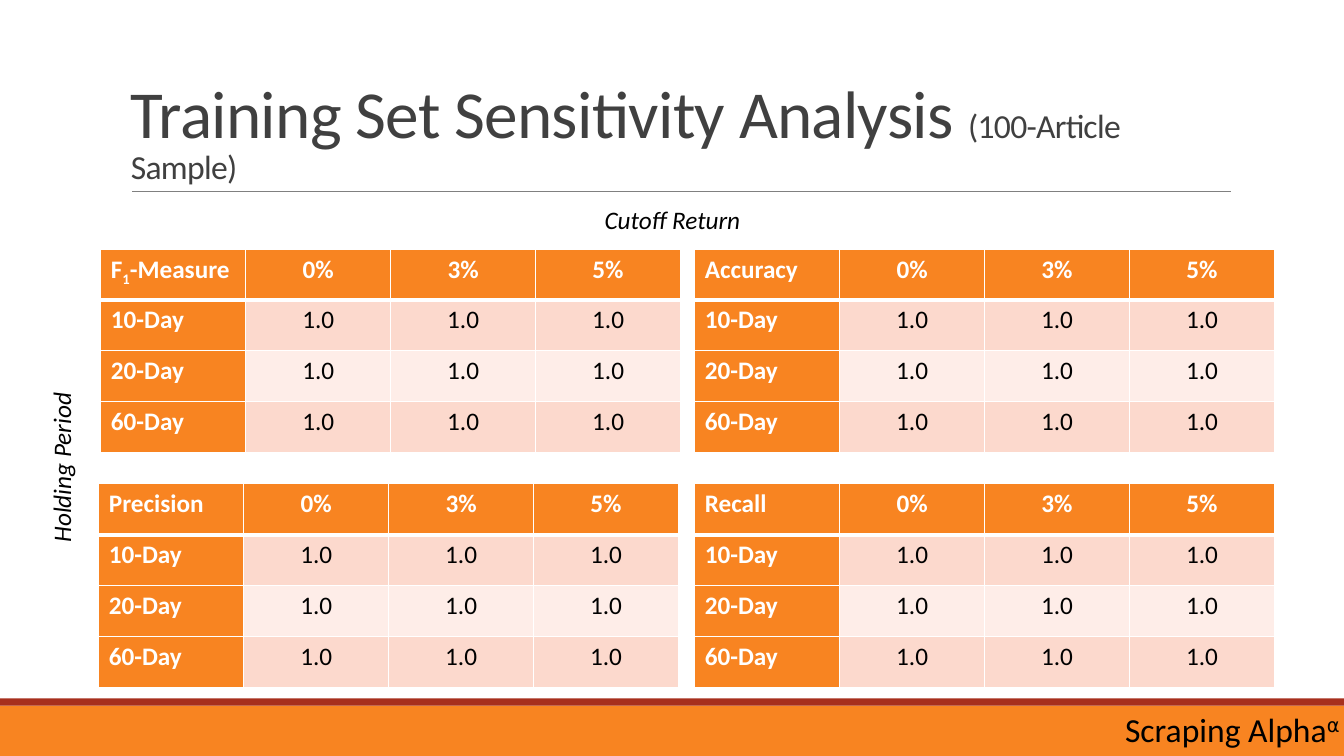
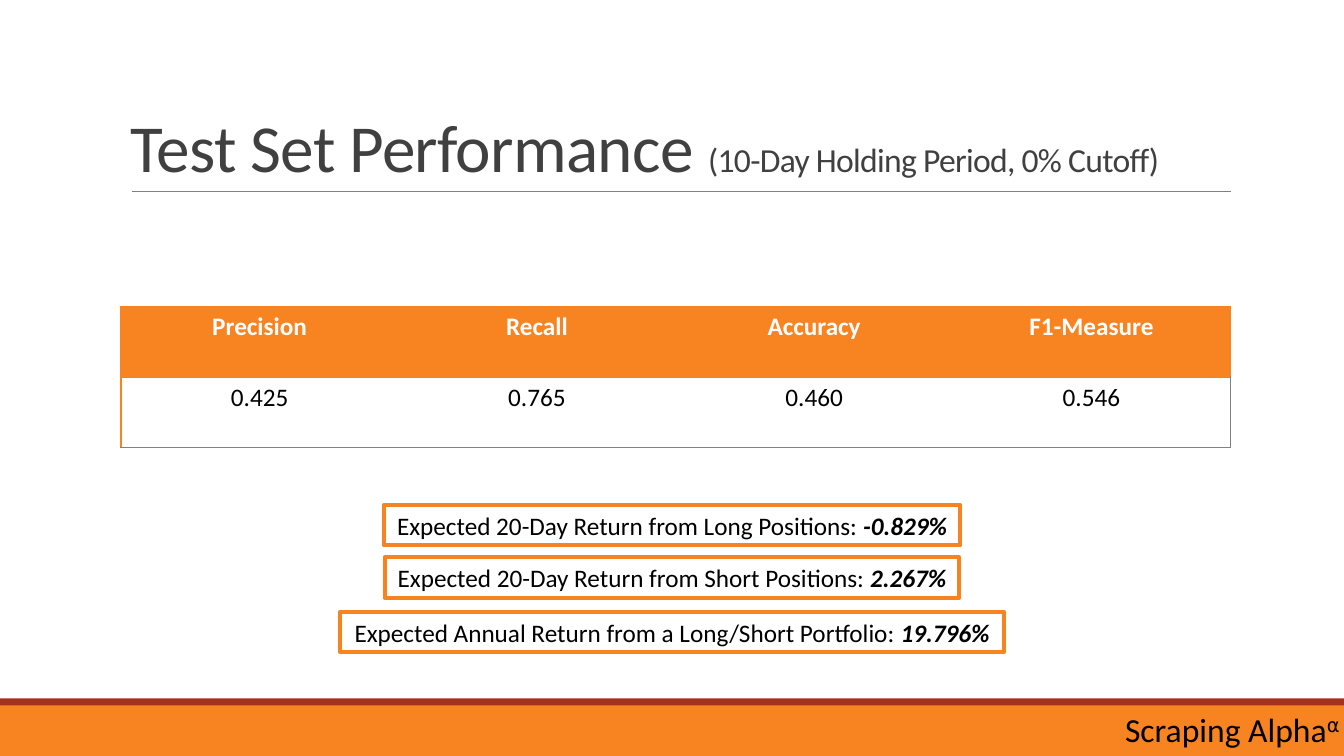
from lxml.etree import SubElement
from pptx import Presentation
from pptx.dml.color import RGBColor
from pptx.enum.shapes import MSO_CONNECTOR, MSO_SHAPE
from pptx.enum.text import MSO_ANCHOR, PP_ALIGN
from pptx.oxml import parse_xml
from pptx.oxml.ns import nsdecls, qn
from pptx.util import Inches, Pt

WIDTH, HEIGHT = 13.33, 7.5
FONT = "Calibri"
COLORS = {
    "orange": "F88421", "red": "A72F1D", "gray": "808080", "title": "404040",
    "white": "FFFFFF", "black": "000000", "dark band": "FCD9CD", "light band": "FEEDE8",
}
TITLE = {"size": 48, "color": "title", "spc": -50}
SUBTITLE = {**TITLE, "size": 24}
BODY = {"size": 18, "color": "black"}
HEADER = {"size": 18, "color": "white", "bold": True}
AXIS = {**BODY, "italic": True}
RESULT = {**BODY, "bold": True, "italic": True}
BRAND = {"size": 24, "color": "black"}

FOOTER = [("Scraping Alpha", BRAND), ("⍺", {**BRAND, "baseline": 30000})]
CUTOFFS = ["0%", "3%", "5%"]
PERIODS = ["10-Day", "20-Day", "60-Day"]
SCORE = "1.0"
SENSITIVITY = [  # heading spans, left, top
    ([("F", HEADER), ("1", {**HEADER, "baseline": -25000}), ("-Measure", HEADER)], 1, 2.47),
    ([("Precision", HEADER)], 0.98, 4.8),
    ([("Accuracy", HEADER)], 6.89, 2.47),
    ([("Recall", HEADER)], 6.89, 4.8),
]
PERFORMANCE = {"Precision": "0.425", "Recall": "0.765", "Accuracy": "0.460", "F1-Measure": "0.546"}
RETURNS = [  # label, value, top, width
    ("Expected 20-Day Return from Long Positions: ", "-0.829%", 5.01, 5.72),
    ("Expected 20-Day Return from Short Positions: ", "2.267%", 5.53, 5.7),
    ("Expected Annual Return from a Long/Short Portfolio: ", "19.796%", 6.07, 6.58),
]


def rgb(name):
    return RGBColor.from_string(COLORS[name])


def inches(*lengths):
    return [Inches(length) for length in lengths]


def write(frame, spans, align=PP_ALIGN.LEFT):
    para = frame.paragraphs[0]
    para.alignment = align
    for text, style in spans:
        span = para.add_run()
        span.text = text
        span.font.color.rgb = rgb(style["color"])
        values = {"name": FONT, "size": Pt(style["size"]),
                  "bold": style.get("bold", False), "italic": style.get("italic", False)}
        for attribute, value in values.items():
            setattr(span.font, attribute, value)
        for attribute in ("baseline", "spc"):
            if attribute in style:
                span.font._element.set(attribute, str(style[attribute]))
    return para


def add_text(page, area, spans, align=PP_ALIGN.LEFT, anchor=MSO_ANCHOR.TOP):
    box = page.shapes.add_textbox(*inches(*area))
    box.text_frame.word_wrap = True
    box.text_frame.vertical_anchor = anchor
    write(box.text_frame, spans, align)
    return box


def add_rectangle(page, area, fill=None, line=None):
    box = page.shapes.add_shape(MSO_SHAPE.RECTANGLE, *inches(*area))
    box.shadow.inherit = False
    for part, color in ((box.fill, fill), (box.line.fill, line)):
        if color:
            part.solid()
            part.fore_color.rgb = rgb(color)
        else:
            part.background()
    return box


def add_page(deck, title, subtitle):
    """Add a slide with the shared bands, rule, title and footer."""
    page = deck.slides.add_slide(deck.slide_layouts[6])
    add_rectangle(page, (0, 7, WIDTH, 0.5), "orange")
    add_rectangle(page, (0, 6.93, WIDTH, 0.07), "red")
    rule = page.shapes.add_connector(MSO_CONNECTOR.STRAIGHT, *inches(1.31, 1.9, 12.21, 1.9))
    rule.line.color.rgb = rgb("gray")
    rule.line.width = Pt(0.5)
    SubElement(rule._element.spPr, qn("a:effectLst"))
    heading = add_text(page, (1.2, 0.31, 11, 1.59), [(title, TITLE), (subtitle, SUBTITLE)],
                       anchor=MSO_ANCHOR.BOTTOM)
    heading.text_frame.paragraphs[0].line_spacing = 0.85
    add_text(page, (11.06, 6.98, 2.49, 0.5), FOOTER)
    return page


def set_borders(cell, borders):
    """Draw the sides given as side: (color, points); clear the others."""
    properties = cell._tc.get_or_add_tcPr()
    for place, side in enumerate("LRTB"):
        color, points = borders.get(side, (None, 0))
        paint = (f'<a:solidFill><a:srgbClr val="{COLORS[color]}"/></a:solidFill>'
                 if color else "<a:noFill/>")
        properties.insert(place, parse_xml(
            f'<a:ln{side} {nsdecls("a")} w="{Pt(points)}">{paint}</a:ln{side}>'))


def add_grid(page, area, rows, style_cell):
    """Fill a table of equal cells; style_cell gives align, fill and borders."""
    left, top, width, height = area
    shape = page.shapes.add_table(len(rows), len(rows[0]), *inches(*area))
    table = shape.table
    table.first_row = table.horz_banding = False
    for column in table.columns:
        column.width = Inches(width / len(rows[0]))
    for row in table.rows:
        row.height = Inches(height / len(rows))
    for r, row in enumerate(rows):
        for c, spans in enumerate(row):
            cell = table.cell(r, c)
            align, fill, borders = style_cell(r, c)
            write(cell.text_frame, spans, align)
            if fill:
                cell.fill.solid()
                cell.fill.fore_color.rgb = rgb(fill)
            else:
                cell.fill.background()
            set_borders(cell, borders)


def style_sensitivity(r, c):
    borders = dict.fromkeys("LRTB", ("white", 1))
    if r < 2:
        borders["B" if r == 0 else "T"] = ("white", 3)
    fill = "orange" if r == 0 or c == 0 else "dark band" if r % 2 else "light band"
    return (PP_ALIGN.CENTER if c else PP_ALIGN.LEFT), fill, borders


def style_performance(r, c):
    borders = {"T": ("orange", 1)}
    if c == 0:
        borders["L"] = ("orange", 1)
    if c == len(PERFORMANCE) - 1:
        borders["R"] = ("gray", 0.5) if r else ("orange", 1)
    if r:
        borders["B"] = ("gray", 0.5)
    return PP_ALIGN.CENTER, (None if r else "orange"), borders


def add_sensitivity(deck):
    page = add_page(deck, "Training Set Sensitivity Analysis ", "(100-Article Sample)")
    for heading, left, top in SENSITIVITY:
        rows = [[heading] + [[(cutoff, HEADER)] for cutoff in CUTOFFS]]
        rows += [[[(period, HEADER)]] + [[(SCORE, BODY)] for _ in CUTOFFS] for period in PERIODS]
        add_grid(page, (left, top, 5.75, 2.02), rows, style_sensitivity)
    add_text(page, (1.79, 1.98, 9.76, 0.4), [("Cutoff Return", AXIS)], PP_ALIGN.CENTER)
    side = add_text(page, (-1.57, 4.44, 4.35, 0.4), [("Holding Period", AXIS)], PP_ALIGN.CENTER)
    side.rotation = 270


def add_performance(deck):
    page = add_page(deck, "Test Set Performance ", "(10-Day Holding Period, 0% Cutoff)")
    rows = [[[(name, HEADER)] for name in PERFORMANCE],
            [[(value, BODY)] for value in PERFORMANCE.values()]]
    add_grid(page, (1.2, 3.04, 11, 1.4), rows, style_performance)
    for label, value, top, width in RETURNS:
        box = add_rectangle(page, ((WIDTH - width) / 2, top, width, 0.4), line="orange")
        box.line.width = Pt(3)
        box.text_frame.word_wrap = False
        write(box.text_frame, [(label, BODY), (value, RESULT)], PP_ALIGN.CENTER)


def main():
    deck = Presentation()
    deck.slide_width, deck.slide_height = inches(WIDTH, HEIGHT)
    add_sensitivity(deck)
    add_performance(deck)
    deck.save("out.pptx")


if __name__ == "__main__":
    main()
